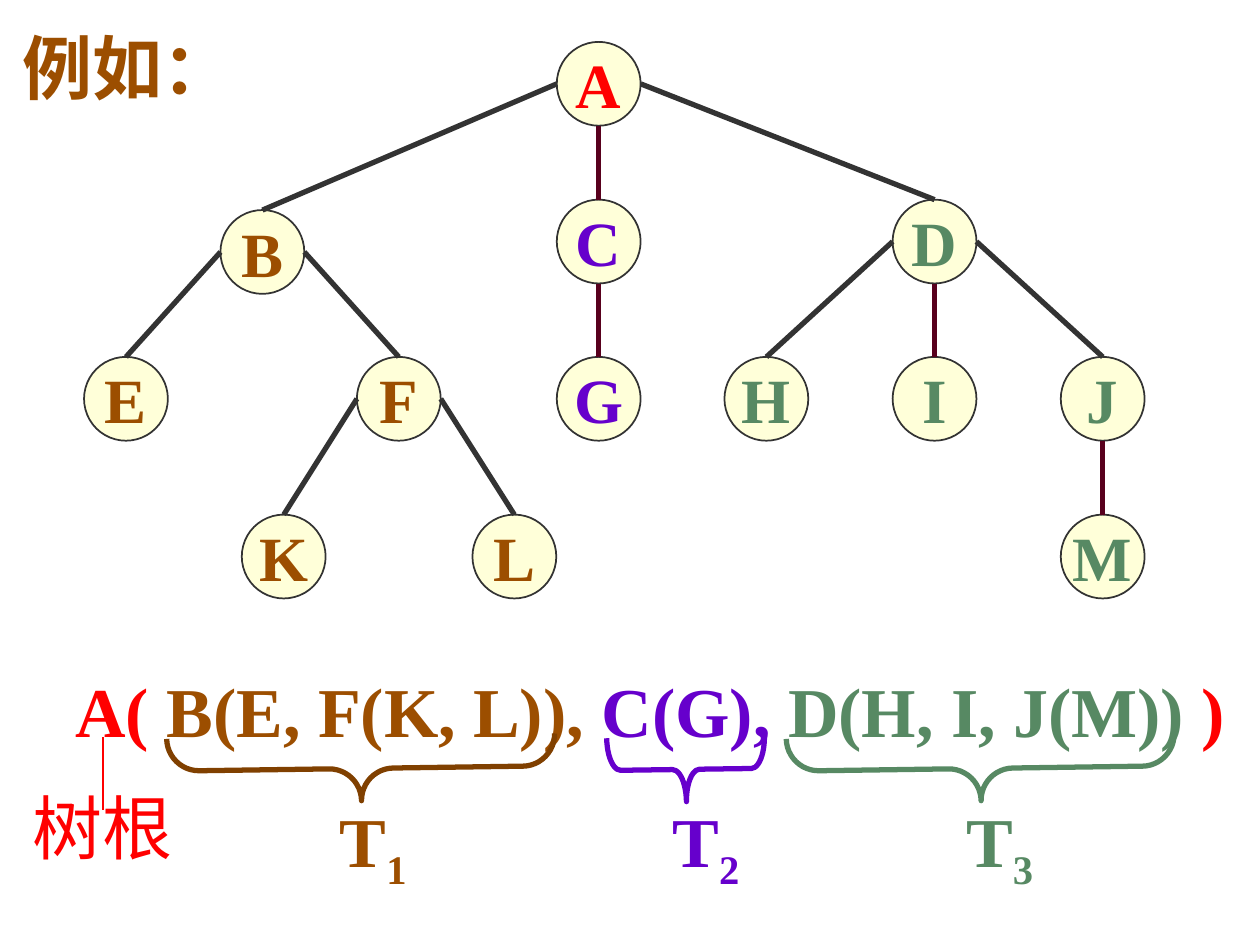
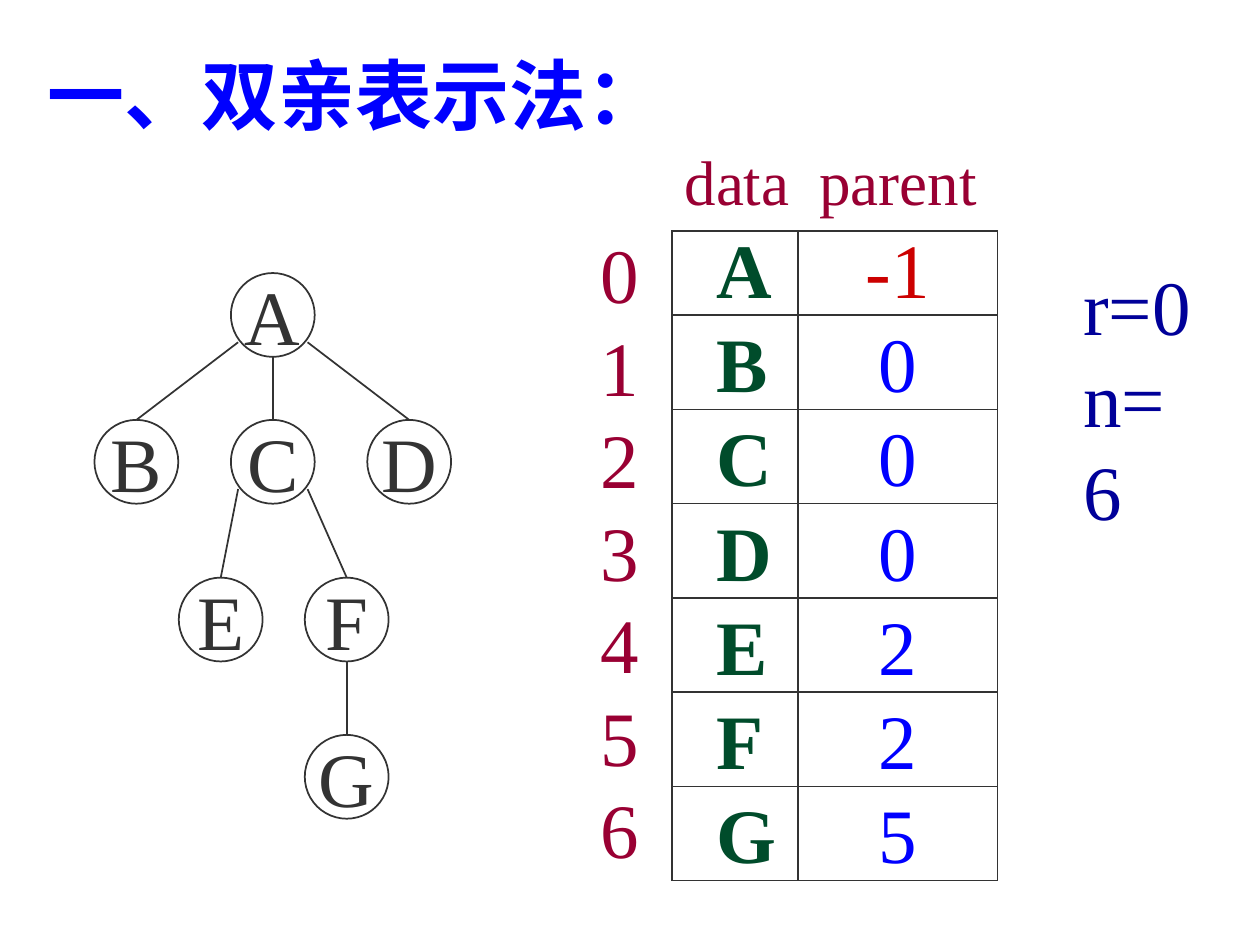
import typing

import lxml.etree
import pptx
import pptx.dml.color
import pptx.enum.shapes
import pptx.enum.text
import pptx.oxml
import pptx.oxml.ns
import pptx.util

Cm, Pt = pptx.util.Cm, pptx.util.Pt
RGBColor = pptx.dml.color.RGBColor
Shape = pptx.enum.shapes.MSO_SHAPE
Align = pptx.enum.text.PP_ALIGN
Anchor = pptx.enum.text.MSO_ANCHOR
Fit = pptx.enum.text.MSO_AUTO_SIZE
qn = pptx.oxml.ns.qn

INK = RGBColor(0x33, 0x33, 0x33)
CREAM = RGBColor(0xFF, 0xFF, 0xD9)
RED = RGBColor(0xFF, 0x00, 0x00)
BROWN = RGBColor(0x9C, 0x4E, 0x00)
UMBER = RGBColor(0x80, 0x40, 0x00)
PURPLE = RGBColor(0x66, 0x00, 0xCC)
SAGE = RGBColor(0x57, 0x89, 0x63)
WINE = RGBColor(0x58, 0x00, 0x1D)
BLUE = RGBColor(0x00, 0x00, 0xFF)
NAVY = RGBColor(0x00, 0x00, 0x99)
ROSE = RGBColor(0x99, 0x00, 0x33)
GREEN = RGBColor(0x00, 0x4C, 0x2B)
CRIMSON = RGBColor(0xCC, 0x00, 0x00)

SERIF, SANS = "Times New Roman", "Noto Sans CJK SC"
SIZE = 1.69  # node diameter in cm
LEAD = 1.2  # line height per point of text size


class Run(typing.NamedTuple):
    text: str
    color: RGBColor
    drop: bool = False


class Node(typing.NamedTuple):
    name: str
    x: float
    y: float
    color: RGBColor
    boss: str = ""


class Look(typing.NamedTuple):
    """How a tree is drawn; dx and dy lead from a parent's centre to its side edges."""
    font: dict[str, typing.Any]
    fill: RGBColor | None
    width: float
    stem: RGBColor
    dx: float
    dy: float


class Brace(typing.NamedTuple):
    x: float
    y: float
    span: float
    curve: float
    color: RGBColor
    tag: str
    left: float
    ink: RGBColor


class Row(typing.NamedTuple):
    data: str
    parent: str
    color: RGBColor = BLUE


def style(size: float, bold: bool = False, name: str = SERIF) -> dict[str, typing.Any]:
    return {"size": Pt(size), "bold": bold, "name": name}


def write(frame: typing.Any, lines: list[list[Run]], font: dict[str, typing.Any],
          align: Align = Align.LEFT, lead: float = LEAD) -> None:
    for i, line in enumerate(lines):
        para = frame.add_paragraph() if i else frame.paragraphs[0]
        para.alignment = align
        para.line_spacing = Pt(font["size"].pt * lead)
        for part in line:
            run = para.add_run()
            run.text = part.text
            for key, value in font.items():
                setattr(run.font, key, value)
            run.font.color.rgb = part.color
            props = run._r.get_or_add_rPr()
            lxml.etree.SubElement(props, qn("a:ea")).set("typeface", SANS)
            if part.drop:
                props.set("baseline", "-25000")


def label(slide: typing.Any, box: tuple[float, ...], lines: list[list[Run]],
          font: dict[str, typing.Any]) -> None:
    frame = slide.shapes.add_textbox(*map(Cm, box)).text_frame
    for key, value in {"word_wrap": False, "auto_size": Fit.SHAPE_TO_FIT_TEXT}.items():
        setattr(frame, key, value)
    write(frame, lines, font)


def link(slide: typing.Any, start: tuple[float, float], end: tuple[float, float],
         color: RGBColor, width: float) -> None:
    line = slide.shapes.add_connector(pptx.enum.shapes.MSO_CONNECTOR.STRAIGHT,
                                      *map(Cm, start + end))
    line.line.color.rgb = color
    line.line.width = Pt(width)
    lxml.etree.SubElement(line._element.spPr, qn("a:effectLst"))


def disc(slide: typing.Any, node: Node, look: Look) -> None:
    left, top = node.x - SIZE / 2, node.y - SIZE / 2
    shape = slide.shapes.add_shape(Shape.OVAL, Cm(left), Cm(top), Cm(SIZE), Cm(SIZE))
    shape.shadow.inherit = False
    if look.fill is None:
        shape.fill.background()
    else:
        shape.fill.solid()
        shape.fill.fore_color.rgb = look.fill
    shape.line.color.rgb = INK
    shape.line.width = Pt(1)
    frame = shape.text_frame
    frame.word_wrap = False
    frame.vertical_anchor = Anchor.MIDDLE
    write(frame, [[Run(node.name, node.color)]], look.font, Align.CENTER)


def tree(slide: typing.Any, nodes: list[Node], look: Look) -> None:
    """Draw the nodes, then a line from each parent to the top of its child."""
    index = {node.name: node for node in nodes}
    for node in nodes:
        disc(slide, node, look)
    for node in nodes:
        if not node.boss:
            continue
        boss = index[node.boss]
        end = (node.x, node.y - SIZE / 2)
        if node.x == boss.x:
            link(slide, (boss.x, boss.y + SIZE / 2), end, look.stem, look.width)
        else:
            side = look.dx if node.x > boss.x else -look.dx
            link(slide, (boss.x + side, boss.y + look.dy), end, INK, look.width)


def clasp(slide: typing.Any, brace: Brace) -> None:
    """Draw a brace that opens upward, with its subtree label below."""
    deep = 1.3
    shape = slide.shapes.add_shape(
        Shape.LEFT_BRACE, Cm(brace.x - deep / 2), Cm(brace.y - brace.span / 2),
        Cm(deep), Cm(brace.span))
    shape.rotation = 269.2
    shape.adjustments[0] = brace.curve
    shape.shadow.inherit = False
    shape.fill.background()
    shape.line.color.rgb = brace.color
    shape.line.width = Pt(3)
    label(slide, (brace.left, 16.18, 1.85, 1.96),
          [[Run("T", brace.ink), Run(brace.tag, brace.ink, True)]], style(40, True))


def edge(cell: typing.Any) -> None:
    """Give a cell thin borders on all four sides."""
    props = cell._tc.get_or_add_tcPr()
    for i, side in enumerate(("lnL", "lnR", "lnT", "lnB")):
        props.insert(i, pptx.oxml.parse_xml(
            f'<a:{side} xmlns:a="http://schemas.openxmlformats.org/drawingml/2006/main"'
            f' w="{Pt(1)}"><a:solidFill><a:srgbClr val="{INK}"/></a:solidFill></a:{side}>'))


def grid(slide: typing.Any, rows: list[Row]) -> None:
    wide, first, high = (2.54, 4.02), 1.69, 1.9
    total = first + high * (len(rows) - 1)
    table = slide.shapes.add_table(len(rows), len(wide), Cm(13.55), Cm(4.66),
                                   Cm(sum(wide)), Cm(total)).table
    table.first_row = table.horz_banding = False
    for column, width in zip(table.columns, wide):
        column.width = Cm(width)
    for i, row in enumerate(rows):
        table.rows[i].height = Cm(high if i else first)
        parts = ((row.data, GREEN, True, Align.LEFT, 0.9),
                 (row.parent, row.color, False, Align.CENTER, 0))
        for j, (text, color, bold, align, indent) in enumerate(parts):
            cell = table.cell(i, j)
            form = {"margin_left": Cm(indent), "margin_right": 0, "margin_top": 0,
                    "margin_bottom": 0, "vertical_anchor": Anchor.BOTTOM}
            for key, value in form.items():
                setattr(cell, key, value)
            cell.fill.background()
            edge(cell)
            write(cell.text_frame, [[Run(text, color)]], style(44, bold), align, 1.08)


def sample(slide: typing.Any) -> None:
    low, base = 8.04, 11.22
    nodes = [
        Node("A", 12.07, 1.69, RED),
        Node("B", 5.29, 5.08, BROWN, "A"),
        Node("C", 12.07, 4.87, PURPLE, "A"),
        Node("D", 18.84, 4.87, SAGE, "A"),
        Node("E", 2.54, low, BROWN, "B"),
        Node("F", 8.04, low, BROWN, "B"),
        Node("G", 12.07, low, PURPLE, "C"),
        Node("H", 15.45, low, SAGE, "D"),
        Node("I", 18.84, low, SAGE, "D"),
        Node("J", 22.23, low, SAGE, "D"),
        Node("K", 5.72, base, BROWN, "F"),
        Node("L", 10.37, base, BROWN, "F"),
        Node("M", 22.23, base, SAGE, "J"),
    ]
    tree(slide, nodes, Look(style(36, True), CREAM, 3, WINE, SIZE / 2, 0))
    label(slide, (1.27, 13.34, 23.7, 1.96),
          [[Run("A( ", RED), Run("B(E, F(K, L)), ", BROWN), Run("C(G), ", PURPLE),
            Run("D(H, I, J(M)) ", SAGE), Run(")", RED)]], style(40, True))
    for brace in (Brace(7.28, 15.49, 7.82, 0.5, UMBER, "1", 6.6, BROWN),
                  Brace(13.83, 15.51, 3.18, 0.21, PURPLE, "2", 13.31, PURPLE),
                  Brace(19.77, 15.49, 7.82, 0.5, SAGE, "3", 19.23, SAGE)):
        clasp(slide, brace)
    link(slide, (2.08, 14.86), (2.08, 16.33), RED, 1.5)
    label(slide, (0.41, 15.7, 3.33, 1.96), [[Run("树根", RED)]], style(40))
    label(slide, (0.2, 0.38, 4.74, 1.96), [[Run("例如：", BROWN)]],
          style(40, True, SANS))


def parents(slide: typing.Any) -> None:
    nodes = [
        Node("A", 5.5, 6.35, INK),
        Node("B", 2.75, 9.31, INK, "A"),
        Node("C", 5.5, 9.31, INK, "A"),
        Node("D", 8.25, 9.31, INK, "A"),
        Node("E", 4.45, 12.49, INK, "C"),
        Node("F", 6.99, 12.49, INK, "C"),
        Node("G", 6.99, 15.66, INK, "F"),
    ]
    rows = [Row("A", "-1", CRIMSON), Row("B", "0"), Row("C", "0"), Row("D", "0"),
            Row("E", "2"), Row("F", "2"), Row("G", "5")]
    plain = style(44)
    tree(slide, nodes, Look(plain, None, 1, INK, 0.7, 0.55))
    grid(slide, rows)
    label(slide, (11.86, 4.45, 1.3, 13.28),
          [[Run(str(i), ROSE)] for i in range(len(rows))], plain)
    label(slide, (21.59, 5.08, 2.92, 3.99),
          [[Run("r=0", NAVY)], [Run("n=6", NAVY)]], plain)
    for text, left, width in (("data", 13.55, 2.62), ("parent", 16.27, 3.69)):
        label(slide, (left, 2.75, width, 1.78), [[Run(text, ROSE)]], style(36))
    label(slide, (0.71, 0.84, 12.93, 2.13), [[Run("一、双亲表示法：", BLUE)]],
          style(44, True))


def main() -> None:
    deck = pptx.Presentation()
    deck.slide_width, deck.slide_height = Cm(25.4), Cm(19.05)
    for draw in (sample, parents):
        draw(deck.slides.add_slide(deck.slide_layouts[6]))
    deck.save("out.pptx")


if __name__ == "__main__":
    main()
